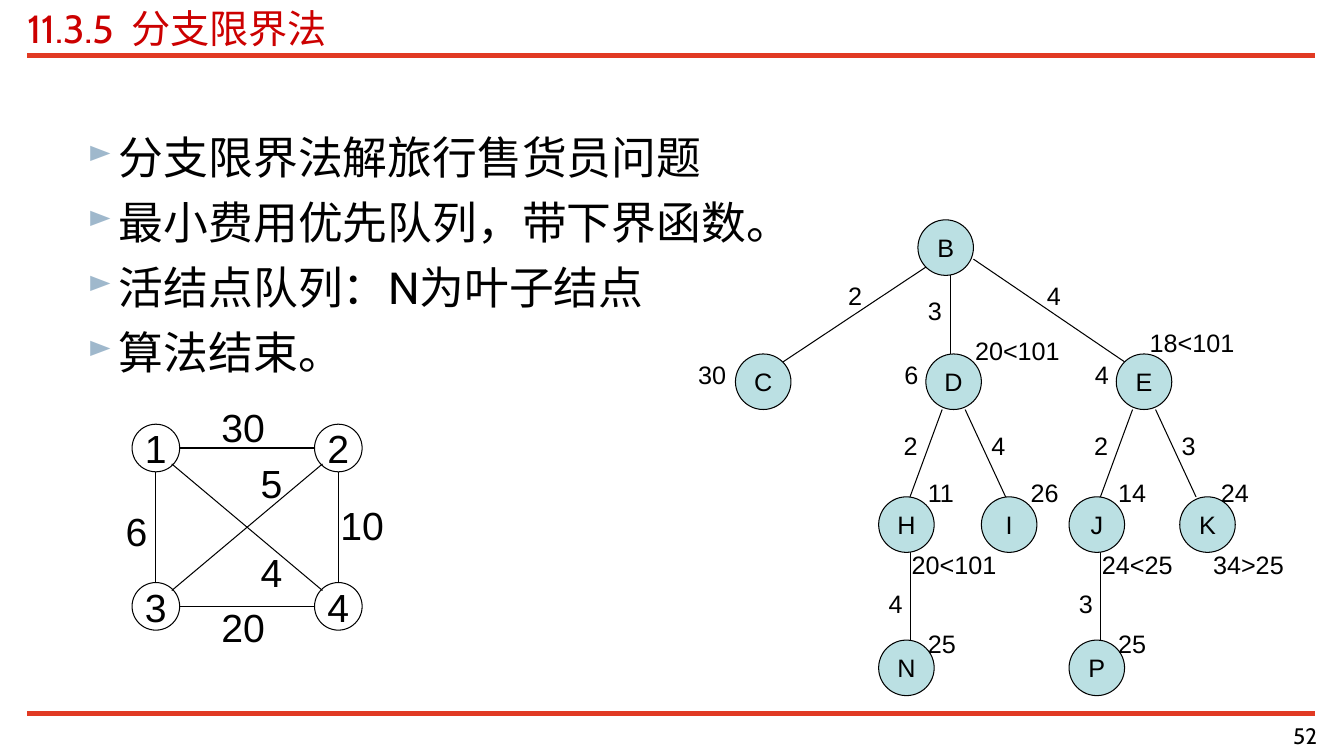
from dataclasses import dataclass
from lxml import etree
from pptx import Presentation, util as u
from pptx.dml.color import RGBColor
from pptx.enum import shapes, text
from pptx.oxml import ns


@dataclass(frozen=True)
class Theme:
    rule: str = "E13A23"
    title: str = "CC0000"
    ink: str = "000000"
    bullet: str = "9FB8CC"
    node: str = "BBE0E3"
    heading_font: str = "Cabin"
    diagram_font: str = "Arial"
    title_size: int = 28
    body_size: int = 32
    graph_size: int = 28
    tree_size: int = 18
    number_size: int = 16
    thin: float = 0.75


def apply(target, values):
    for name, value in values.items():
        setattr(target, name, value)


class SlideBuilder:
    """Draws elements on one page; all positions are in centimetres."""

    def __init__(self, page, theme):
        self.page = page
        self.theme = theme

    def add_words(self, para, words, size, font, color):
        span = para.add_run()
        span.text = words
        apply(span.font, {"name": font, "size": u.Pt(size)})
        span.font.color.rgb = RGBColor.from_string(color)

    def text_box(self, left, top, width, height, **frame_format):
        box = self.page.shapes.add_textbox(*map(u.Cm, (left, top, width, height)))
        apply(box.text_frame, {"word_wrap": True, **frame_format})
        return box.text_frame

    def heading(self, words, area, size, color, align=text.PP_ALIGN.LEFT):
        margins = dict.fromkeys(("margin_left", "margin_top", "margin_right", "margin_bottom"), 0)
        para = self.text_box(*area, **margins).paragraphs[0]
        para.alignment = align
        self.add_words(para, words, size, self.theme.heading_font, color)

    def label(self, words, left, top, size, width, height):
        para = self.text_box(left, top, width, height).paragraphs[0]
        self.add_words(para, words, size, self.theme.diagram_font, self.theme.ink)

    def bullets(self, lines, area):
        frame = self.text_box(*area)
        for index, words in enumerate(lines):
            para = frame.paragraphs[0] if index == 0 else frame.add_paragraph()
            props = para._p.get_or_add_pPr()
            props.set("marL", str(u.Cm(2.06)))
            props.set("indent", str(u.Cm(-0.79)))
            color = etree.SubElement(props, ns.qn("a:buClr"))
            etree.SubElement(color, ns.qn("a:srgbClr"), val=self.theme.bullet)
            etree.SubElement(props, ns.qn("a:buSzPct"), val="70000")
            etree.SubElement(props, ns.qn("a:buChar"), char="►")
            if index:
                para.space_before = u.Pt(8)
            self.add_words(para, words, self.theme.body_size, self.theme.heading_font,
                           self.theme.ink)

    def line(self, x1, y1, x2, y2, color=None, width=None):
        rule = self.page.shapes.add_connector(
            shapes.MSO_CONNECTOR.STRAIGHT, *map(u.Cm, (x1, y1, x2, y2)))
        rule.line.color.rgb = RGBColor.from_string(color or self.theme.ink)
        rule.line.width = u.Pt(width or self.theme.thin)
        etree.SubElement(rule._element.spPr, ns.qn("a:effectLst"))

    def node(self, words, left, top, diameter, size, fill=None):
        circle = self.page.shapes.add_shape(
            shapes.MSO_SHAPE.OVAL, *map(u.Cm, (left, top, diameter, diameter)))
        circle.shadow.inherit = False
        if fill:
            circle.fill.solid()
            circle.fill.fore_color.rgb = RGBColor.from_string(fill)
        else:
            circle.fill.background()
        circle.line.color.rgb = RGBColor.from_string(self.theme.ink)
        circle.line.width = u.Pt(self.theme.thin)
        apply(circle.text_frame, {"word_wrap": False, "vertical_anchor": text.MSO_ANCHOR.MIDDLE})
        para = circle.text_frame.paragraphs[0]
        para.alignment = text.PP_ALIGN.CENTER
        self.add_words(para, words, size, self.theme.diagram_font, self.theme.ink)


def draw_graph(slide):
    """Weighted graph on four cities."""
    size = slide.theme.graph_size
    diameter, reach = 1.2, 0.4
    radius = diameter / 2
    west, east = 3.93, 8.53
    north, south = 11.29, 15.28

    for y in (north, south):
        slide.line(west + radius, y, east - radius, y)
    for x in (west, east):
        slide.line(x, north + radius, x, south - radius)
    for start, end, turn in ((north, south, 1), (south, north, -1)):
        slide.line(west + reach, start + turn * reach, east - reach, end - turn * reach)

    cities = [(x, y) for y in (north, south) for x in (west, east)]
    for number, (x, y) in enumerate(cities, 1):
        slide.node(str(number), x - radius, y - radius, diameter, size)

    for cost, left, top in (("30", 5.33, 10.03), ("20", 5.33, 15.09), ("10", 8.33, 12.5),
                            ("6", 2.92, 12.67), ("5", 6.32, 11.46), ("4", 6.32, 13.69)):
        slide.label(cost, left, top, size, 2 if len(cost) > 1 else 1.1, 1.45)


def draw_tree(slide):
    """Search tree: the D and E branches share one layout, a column step apart."""
    size, fill, diameter = slide.theme.tree_size, slide.theme.node, 1.4
    step = 4.8
    rows = (5.54, 8.92, 12.52, 16.13)
    bottoms = [row + diameter for row in rows]

    def label(words, left, top):
        slide.label(words, left, top, size, {1: 1, 2: 1.4}.get(len(words), 3), 1.02)

    def node(name, left, row):
        slide.node(name, left, rows[row], diameter, size, fill)

    slide.line(23.95, bottoms[0], 23.95, rows[1])
    slide.line(23.34, 6.73, 19.74, 9.12)
    slide.line(24.54, 6.53, 28.35, 9.12)
    node("B", 23.14, 0)
    node("C", 18.54, 1)
    for words, left, top in (("2", 21.13, 6.93), ("3", 23.14, 7.32), ("4", 26.14, 6.93),
                             ("30", 17.35, 8.92), ("20<101", 24.33, 8.33),
                             ("18<101", 28.73, 8.13), ("34>25", 30.33, 13.72)):
        label(words, left, top)

    label_spots = ((22.55, 8.92), (22.53, 10.72), (24.74, 10.72), (22.15, 14.71),
                   (23.14, 11.91), (25.73, 11.91), (23.14, 15.7), (22.73, 13.72))
    branches = (
        ("DHIN", 24.74, ("6", "2", "4", "4", "11", "26", "25", "20<101")),
        ("EJKP", 24.94, ("4", "2", "3", "3", "14", "24", "25", "24<25")),
    )
    for index, (names, right_child, labels) in enumerate(branches):
        shift = index * step
        slide.line(23.75 + shift, bottoms[1], 22.94 + shift, rows[2])
        slide.line(24.33 + shift, bottoms[1], 25.35 + shift, rows[2])
        slide.line(22.94 + shift, bottoms[2], 22.94 + shift, rows[3])
        places = ((23.34, 1), (22.15, 2), (right_child, 2), (22.15, 3))
        for name, (left, row) in zip(names, places):
            node(name, left + shift, row)
        for words, (left, top) in zip(labels, label_spots):
            label(words, left + shift, top)


def main():
    theme = Theme()
    deck = Presentation()
    apply(deck, {"slide_width": u.Cm(33.88), "slide_height": u.Cm(19.05)})
    slide = SlideBuilder(deck.slides.add_slide(deck.slide_layouts[6]), theme)

    for y, width in ((1.4, 4), (17.98, 3)):
        slide.line(0.69, y, 33.15, y, theme.rule, width)
    slide.heading("11.3.5  分支限界法", (0.69, 0.1, 32.46, 1.2), theme.title_size, theme.title)
    slide.bullets(("分支限界法解旅行售货员问题", "最小费用优先队列，带下界函数。",
                   "活结点队列：N为叶子结点", "算法结束。"), (0.69, 3.15, 32.46, 14.76))
    draw_graph(slide)
    draw_tree(slide)
    slide.heading("52", (26.39, 18.19, 6.81, 0.79), theme.number_size, theme.ink,
                  text.PP_ALIGN.RIGHT)
    deck.save("out.pptx")


if __name__ == "__main__":
    main()
